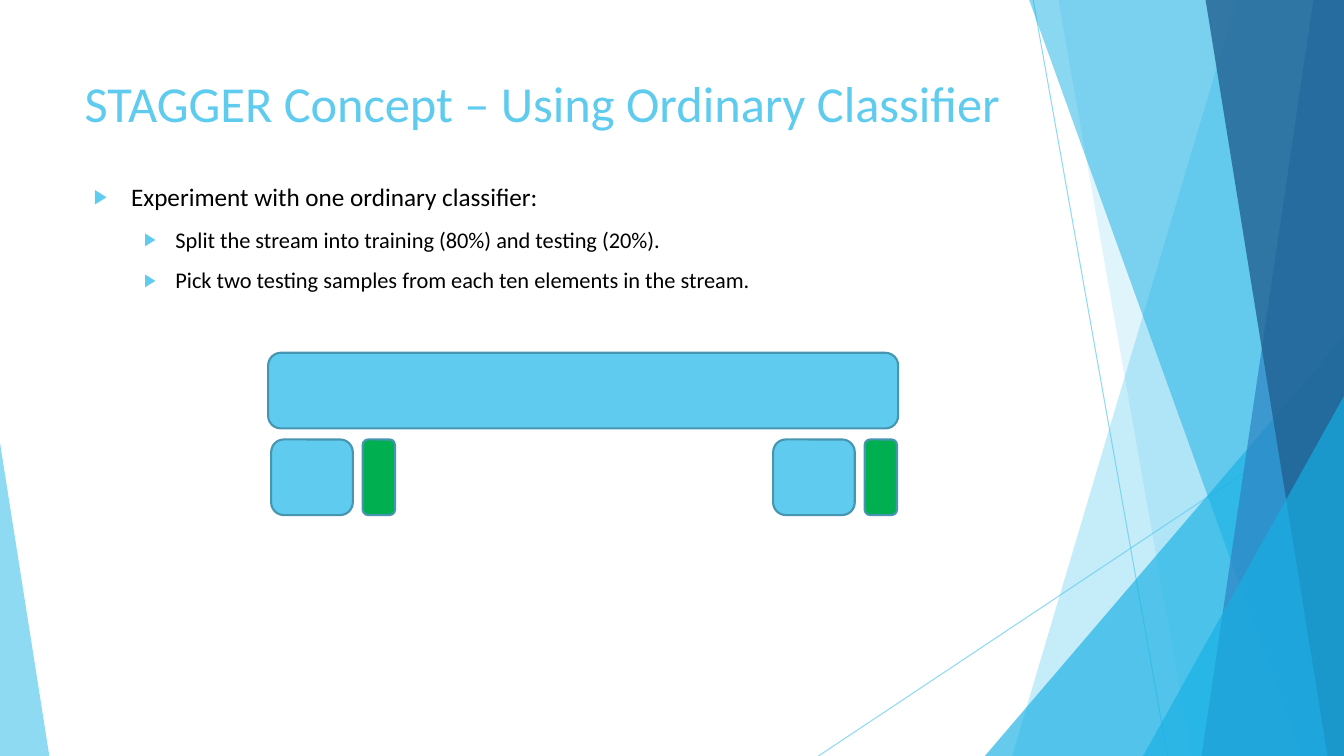
from lxml import etree
from pptx import Presentation
from pptx.dml.color import RGBColor
from pptx.enum.shapes import MSO_CONNECTOR, MSO_SHAPE
from pptx.enum.text import MSO_ANCHOR, MSO_AUTO_SIZE, PP_ALIGN
from pptx.oxml.ns import qn
from pptx.util import Inches, Pt

STRAIGHT = MSO_CONNECTOR.STRAIGHT
ROUNDED = MSO_SHAPE.ROUNDED_RECTANGLE
TRIANGLE = MSO_SHAPE.ISOSCELES_TRIANGLE
TOP = MSO_ANCHOR.TOP
LEFT = PP_ALIGN.LEFT
NO_AUTOFIT = MSO_AUTO_SIZE.NONE

COLUMNS, ROWS = 160, 90
SKY, CYAN, BLUE, NAVY = "5FCBEF", "17B0E4", "2E83C3", "226292"
GREEN, EDGE, BLACK = "00B050", "4696B1", "000000"


def rgb(color):
    return RGBColor.from_string(color)


class Deck:
    font = "Calibri"
    indents = [(0.37, -0.37), (0.81, -0.31)]

    def __init__(self, width, height):
        self.prs = Presentation()
        self.prs.slide_width, self.prs.slide_height = width, height
        self.slide = self.prs.slides.add_slide(self.prs.slide_layouts[1])
        self.shapes = self.slide.shapes

    def x(self, column):
        return round(self.prs.slide_width * column / COLUMNS)

    def y(self, row):
        return round(self.prs.slide_height * row / ROWS)

    def box(self, left, top, width, height):
        return self.x(left), self.y(top), self.x(width), self.y(height)

    def fade(self, sp, opacity):
        color = sp._element.spPr.find(".//" + qn("a:srgbClr"))
        etree.SubElement(color, qn("a:alpha"), val=str(opacity * 1000))

    def paint(self, sp, color, opacity):
        sp.shadow.inherit = False
        sp.fill.solid()
        sp.fill.fore_color.rgb = rgb(color)
        sp.line.fill.background()
        self.fade(sp, opacity)

    def line(self, x1, y1, x2, y2):
        sp = self.shapes.add_connector(
            STRAIGHT, self.x(x1), self.y(y1), self.x(x2), self.y(y2))
        sp.line.color.rgb = rgb(SKY)
        sp.line.width = Pt(0.75)
        self.fade(sp, 70)
        etree.SubElement(sp._element.spPr, qn("a:effectLst"))

    def band(self, top_column, bottom_column, color, opacity):
        builder = self.shapes.build_freeform(self.x(top_column), 0, scale=1.0)
        corners = [(COLUMNS, 0), (COLUMNS, ROWS), (bottom_column, ROWS)]
        builder.add_line_segments([(self.x(c), self.y(r)) for c, r in corners])
        self.paint(builder.convert_to_shape(), color, opacity)

    def triangle(self, left, top, width, apex, color, opacity):
        sp = self.shapes.add_shape(
            TRIANGLE, *self.box(left, top, width, ROWS - top))
        sp.adjustments[0] = apex
        self.paint(sp, color, opacity)

    def block(self, left, top, width, height, color):
        sp = self.shapes.add_shape(ROUNDED, *self.box(left, top, width, height))
        sp.shadow.inherit = False
        sp.fill.solid()
        sp.fill.fore_color.rgb = rgb(color)
        sp.line.color.rgb = rgb(EDGE)
        sp.line.width = Pt(1.5)

    def placeholder(self, index, *box):
        sp = self.slide.placeholders[index]
        sp.left, sp.top, sp.width, sp.height = self.box(*box)
        self.shapes._spTree.append(sp._element)
        tf = sp.text_frame
        tf.word_wrap = True
        tf.auto_size = NO_AUTOFIT
        tf.vertical_anchor = TOP
        return tf

    def run(self, p, text, size, color):
        r = p.add_run()
        r.text = text
        r.font.name = self.font
        r.font.size = Pt(size)
        r.font.color.rgb = rgb(color)

    def title(self, text, *box):
        p = self.placeholder(0, *box).paragraphs[0]
        p.alignment = LEFT
        self.run(p, text, 36, SKY)

    def bullet(self, p, level):
        p.level = level
        pPr = p._p.get_or_add_pPr()
        margin, indent = self.indents[level]
        pPr.set("marL", str(Inches(margin)))
        pPr.set("indent", str(Inches(indent)))
        color = etree.SubElement(pPr, qn("a:buClr"))
        etree.SubElement(color, qn("a:srgbClr"), val=SKY)
        etree.SubElement(pPr, qn("a:buSzPct"), val="80000")
        etree.SubElement(pPr, qn("a:buFont"), typeface=self.font)
        etree.SubElement(pPr, qn("a:buChar"), char="▶")

    def body(self, items, *box):
        tf = self.placeholder(1, *box)
        for i, (level, text) in enumerate(items):
            p = tf.add_paragraph() if i else tf.paragraphs[0]
            self.bullet(p, level)
            p.space_before = Pt(10 if i else 0)
            self.run(p, text, 18 - 2 * level, BLACK)


def main():
    s = Deck(Inches(13.33), Inches(7.5))

    s.line(123, 0, 139, ROWS)
    s.line(COLUMNS, 48.36, 97.44, ROWS)
    s.band(147.24, 120.48, SKY, 36)
    s.band(126, 141.84, SKY, 20)
    s.triangle(117.24, 40, 42.76, 1, CYAN, 66)
    s.band(122.52, 154.92, CYAN, 50)
    s.band(156.36, 143.04, BLUE, 70)
    s.band(143.52, 158.04, NAVY, 80)
    s.triangle(136.08, 47.16, 23.92, 1, CYAN, 66)
    s.triangle(0, 52.68, 5.88, 0, SKY, 70)

    s.title("STAGGER Concept – Using Ordinary Classifier",
            8.88, 8.04, 112.8, 17.28)
    s.body([
        (0, "Experiment with one ordinary classifier:"),
        (1, "Split the stream into training (80%) and testing (20%)."),
        (1, "Pick two testing samples from each ten elements in the stream."),
    ], 9.96, 21, 106, 50.88)

    s.block(31.92, 42, 75, 9, SKY)
    for left in (32.28, 92.04):
        s.block(left, 52.32, 9.72, 9, SKY)
        s.block(left + 10.9, 52.32, 3.84, 9, GREEN)

    s.prs.save("out.pptx")


if __name__ == "__main__":
    main()
